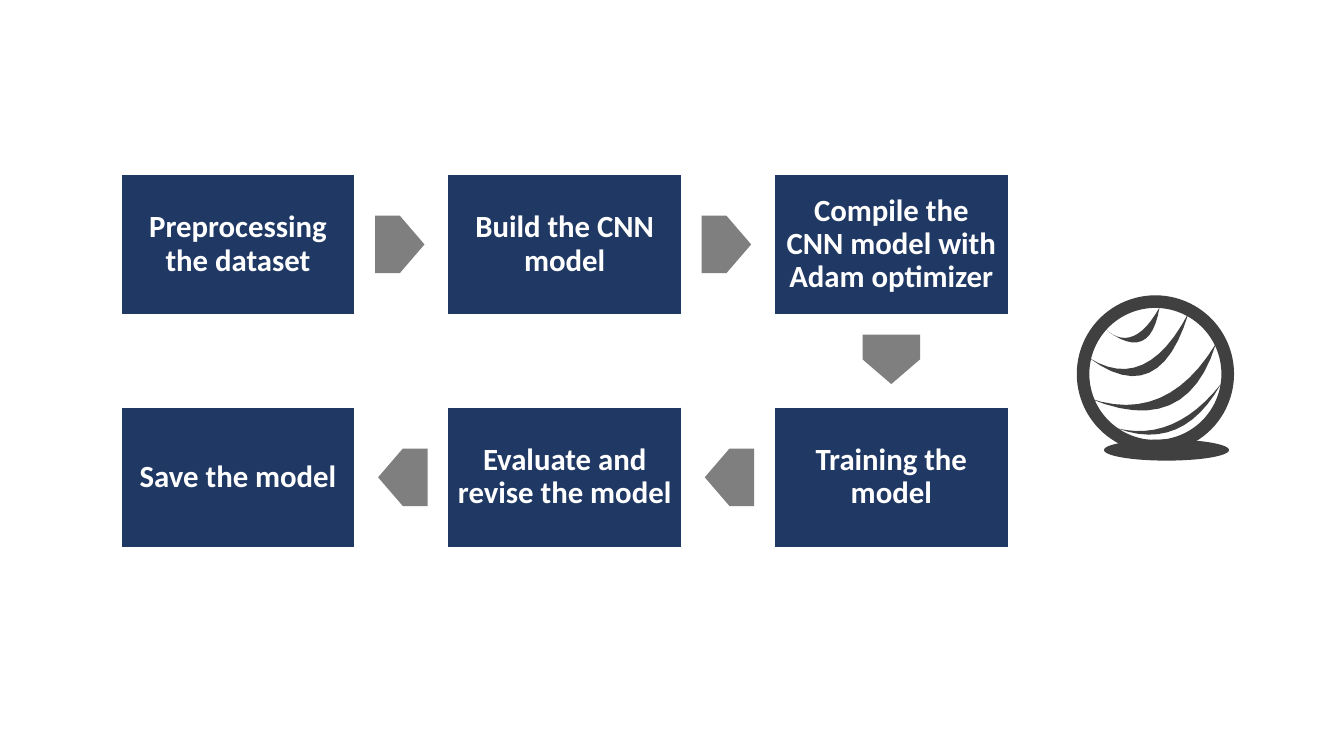
from pptx import Presentation
from pptx.dml.color import RGBColor
from pptx.enum.shapes import MSO_SHAPE
from pptx.enum.text import MSO_ANCHOR, PP_ALIGN
from pptx.util import Inches, Pt

RECT, PENTAGON = MSO_SHAPE.RECTANGLE, MSO_SHAPE.PENTAGON
OVAL, DONUT = MSO_SHAPE.OVAL, MSO_SHAPE.DONUT
MIDDLE, CENTER = MSO_ANCHOR.MIDDLE, PP_ALIGN.CENTER

NAVY, GRAY, DARK, WHITE = "203864", "7F7F7F", "404040", "FFFFFF"
LEFT, TOP, BOX_W, BOX_H = 1.2, 1.73, 2.32, 1.39
STEP_X, STEP_Y = 3.24, 2.31
ARROW_W, ARROW_H = 0.49, 0.57
CURVE_STEPS = 12

STEPS = [
    ("Preprocessing the dataset", 0, 0),
    ("Build the CNN model", 1, 0),
    ("Compile the CNN model with Adam optimizer", 2, 0),
    ("Training the model", 2, 1),
    ("Evaluate and revise the model", 1, 1),
    ("Save the model", 0, 1),
]
STRIPES = [
    ((11.08, 4.25), (11.73, 4.49), (12.11, 3.81), (11.65, 4.39)),
    ((10.8, 3.95), (11.77, 4.36), (12.06, 3.41), (11.57, 4.22)),
    ((10.8, 3.55), (11.5, 4.07), (11.79, 3.1), (11.37, 3.91)),
    ((10.98, 3.28), (11.41, 3.6), (11.5, 3.05), (11.25, 3.5)),
]


def rgb(color):
    return RGBColor.from_string(color)


def paint(sp, fill, line=None):
    sp.shadow.inherit = False
    sp.fill.solid()
    sp.fill.fore_color.rgb = rgb(fill)
    if line:
        sp.line.color.rgb = rgb(line)
        sp.line.width = Pt(1)
    else:
        sp.line.fill.background()


def add_shape(s, kind, x, y, w, h, fill, line=None):
    sp = s.shapes.add_shape(kind, Inches(x), Inches(y), Inches(w), Inches(h))
    paint(sp, fill, line)
    return sp


def add_step(s, text, col, row):
    x, y = LEFT + col * STEP_X, TOP + row * STEP_Y
    tf = add_shape(s, RECT, x, y, BOX_W, BOX_H, NAVY, WHITE).text_frame
    tf.word_wrap = True
    tf.vertical_anchor = MIDDLE
    tf.margin_left = tf.margin_right = Inches(0.09)
    tf.margin_top = tf.margin_bottom = Inches(0.09)
    p = tf.paragraphs[0]
    p.text = text
    p.alignment = CENTER
    p.line_spacing = 0.9
    p.font.name = "Calibri"
    p.font.size = Pt(22)
    p.font.bold = True
    p.font.color.rgb = rgb(WHITE)


def add_arrow(s, x, y, angle):
    add_shape(s, PENTAGON, x, y, ARROW_W, ARROW_H, GRAY).rotation = angle


def add_arrows(s):
    row_y = TOP + (BOX_H - ARROW_H) / 2
    for col in range(2):
        x = LEFT + BOX_W + col * STEP_X
        add_arrow(s, x + 0.2, row_y, 0)
        add_arrow(s, x + 0.23, row_y + STEP_Y, 180)
    add_arrow(s, LEFT + 2 * STEP_X + (BOX_W - ARROW_W) / 2, 3.28, 90)


def curve_points(start, control, end):
    for n in range(1, CURVE_STEPS + 1):
        t = n / CURVE_STEPS
        yield tuple(Inches((1 - t) ** 2 * a + 2 * t * (1 - t) * c + t * t * b)
                    for a, c, b in zip(start, control, end))


def add_stripe(s, start, lower, end, upper):
    x, y = start
    builder = s.shapes.build_freeform(Inches(x), Inches(y))
    points = [*curve_points(start, lower, end), *curve_points(end, upper, start)]
    builder.add_line_segments(points, close=True)
    paint(builder.convert_to_shape(), DARK)


def add_ball(s):
    ring = add_shape(s, DONUT, 10.68, 2.93, 1.56, 1.56, DARK)
    ring.adjustments[0] = 0.08
    add_shape(s, OVAL, 10.95, 4.36, 1.24, 0.21, DARK)
    for stripe in STRIPES:
        add_stripe(s, *stripe)


def main():
    prs = Presentation()
    prs.slide_width, prs.slide_height = Inches(13.33), Inches(7.5)
    s = prs.slides.add_slide(prs.slide_layouts[6])
    for text, col, row in STEPS:
        add_step(s, text, col, row)
    add_arrows(s)
    add_ball(s)
    prs.save("out.pptx")


if __name__ == "__main__":
    main()
